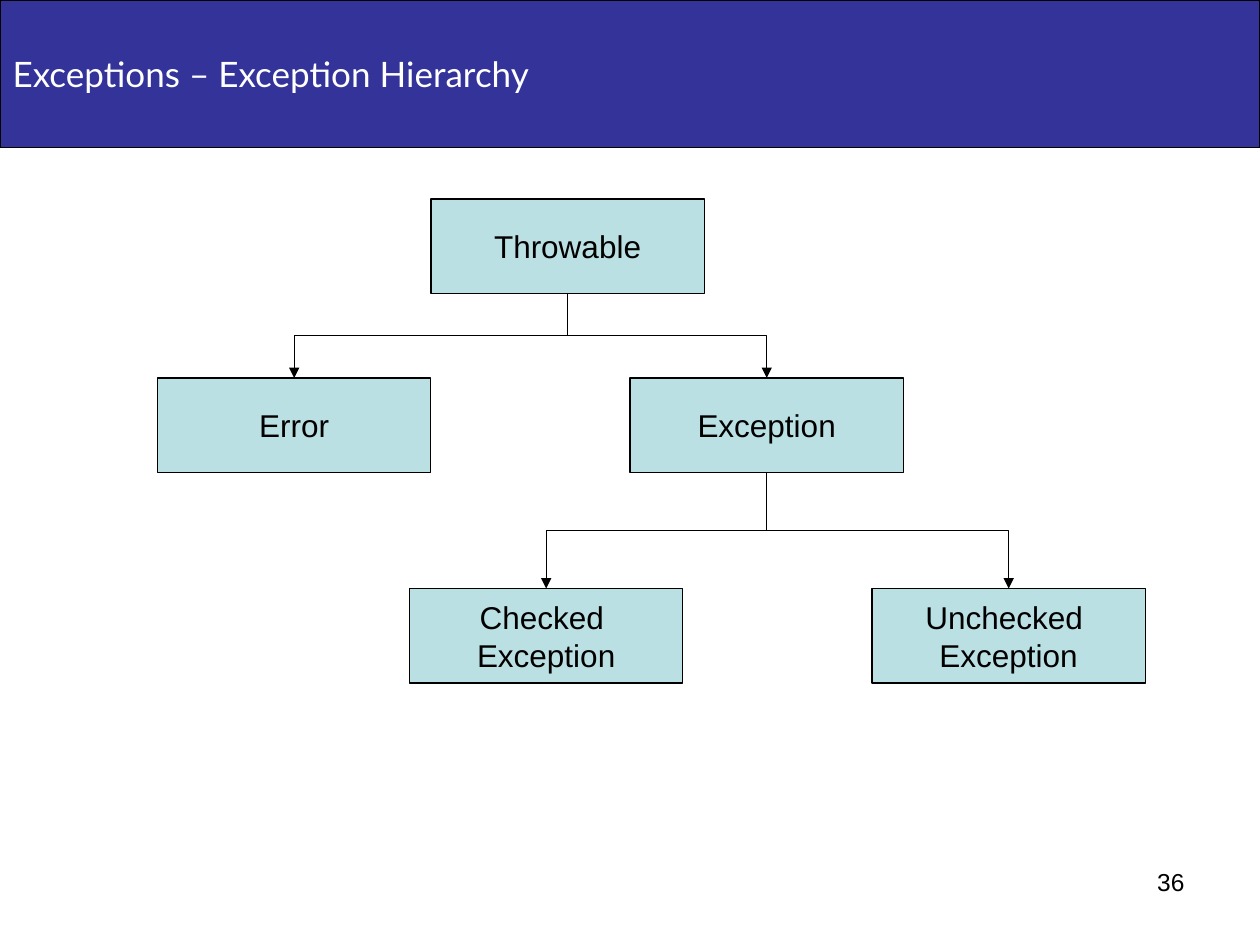
from pptx import Presentation
from pptx.dml.color import RGBColor
from pptx.enum.shapes import MSO_CONNECTOR, MSO_SHAPE
from pptx.enum.text import MSO_ANCHOR, MSO_AUTO_SIZE, PP_ALIGN
from pptx.oxml.ns import qn
from pptx.util import Inches, Pt
from lxml.etree import SubElement


def color(hex_string):
    return RGBColor.from_string(hex_string)


def write(frame, text, size=18, font="Arial", ink="000000",
          align=PP_ALIGN.CENTER, anchor=MSO_ANCHOR.MIDDLE, wrap=False):
    """Fill a text frame, one paragraph per line of text."""
    frame.text = text
    frame.word_wrap = wrap
    frame.auto_size = MSO_AUTO_SIZE.NONE
    frame.vertical_anchor = anchor
    for paragraph in frame.paragraphs:
        paragraph.alignment = align
        paragraph.font.size = Pt(size)
        paragraph.font.name = font
        paragraph.font.color.rgb = color(ink)


class HierarchySlide:
    BAND, BOX, INK = "333399", "BBE0E3", "000000"
    BOX_WIDTH, BOX_HEIGHT = Inches(2.17), Inches(0.75)
    BOTTOM_SITE, TOP_SITE = 2, 0

    def __init__(self, presentation):
        self.slide = presentation.slides.add_slide(presentation.slide_layouts[5])
        self.width = presentation.slide_width

    def outline(self, shape):
        shape.line.color.rgb = color(self.INK)
        shape.line.width = Pt(0.75)

    def fill(self, shape, hex_string):
        shape.fill.solid()
        shape.fill.fore_color.rgb = color(hex_string)
        self.outline(shape)

    def title(self, text):
        band = self.slide.shapes.title
        band.left, band.top = 0, 0
        band.width, band.height = self.width, Inches(1.17)
        self.fill(band, self.BAND)
        write(band.text_frame, text, size=20, font="Lato", ink="FFFFFF",
              align=PP_ALIGN.LEFT)

    def box(self, text, left, top):
        box = self.slide.shapes.add_shape(
            MSO_SHAPE.RECTANGLE, Inches(left), Inches(top),
            self.BOX_WIDTH, self.BOX_HEIGHT)
        box.shadow.inherit = False
        self.fill(box, self.BOX)
        write(box.text_frame, text)
        return box

    def branch(self, parent, child):
        """Elbow arrow that leaves the parent downwards and enters the child's top."""
        start_x = parent.left + parent.width // 2
        start_y = parent.top + parent.height
        end_x, end_y = child.left + child.width // 2, child.top
        arrow = self.slide.shapes.add_connector(
            MSO_CONNECTOR.ELBOW, start_x, start_y, end_x, end_y)
        arrow.begin_connect(parent, self.BOTTOM_SITE)
        arrow.end_connect(child, self.TOP_SITE)
        self.outline(arrow)

        # A quarter turn about the centre makes the elbow run vertically first
        run, drop = abs(end_x - start_x), end_y - start_y
        arrow.width, arrow.height = drop, run
        arrow.left = (start_x + end_x - drop) // 2
        arrow.top = (start_y + end_y - run) // 2
        rightwards = end_x > start_x
        properties = arrow._element.spPr
        frame = properties.find(qn("a:xfrm"))
        frame.set("rot", str((270 if rightwards else 90) * 60000))
        frame.set("flipH", "1" if rightwards else "0")

        # Arrowhead, and no shadow
        SubElement(properties.find(qn("a:ln")), qn("a:tailEnd"), type="triangle")
        SubElement(properties, qn("a:effectLst"))

    def page_number(self, text):
        number = self.slide.shapes.add_textbox(
            Inches(7.17), Inches(6.83), Inches(2.33), Inches(0.52))
        write(number.text_frame, text, size=14, align=PP_ALIGN.RIGHT,
              anchor=MSO_ANCHOR.TOP, wrap=True)


def main():
    presentation = Presentation()
    presentation.slide_width, presentation.slide_height = Inches(10), Inches(7.5)
    page = HierarchySlide(presentation)
    page.title("Exceptions – Exception Hierarchy")

    # Class boxes, level by level
    throwable = page.box("Throwable", 3.42, 1.58)
    error = page.box("Error", 1.25, 3)
    exception = page.box("Exception", 5, 3)
    checked = page.box("Checked \nException", 3.25, 4.67)
    unchecked = page.box("Unchecked \nException", 6.92, 4.67)

    # Inheritance arrows
    for parent, children in ((throwable, (error, exception)),
                             (exception, (checked, unchecked))):
        for child in children:
            page.branch(parent, child)

    page.page_number("36")
    presentation.save("out.pptx")


if __name__ == "__main__":
    main()
